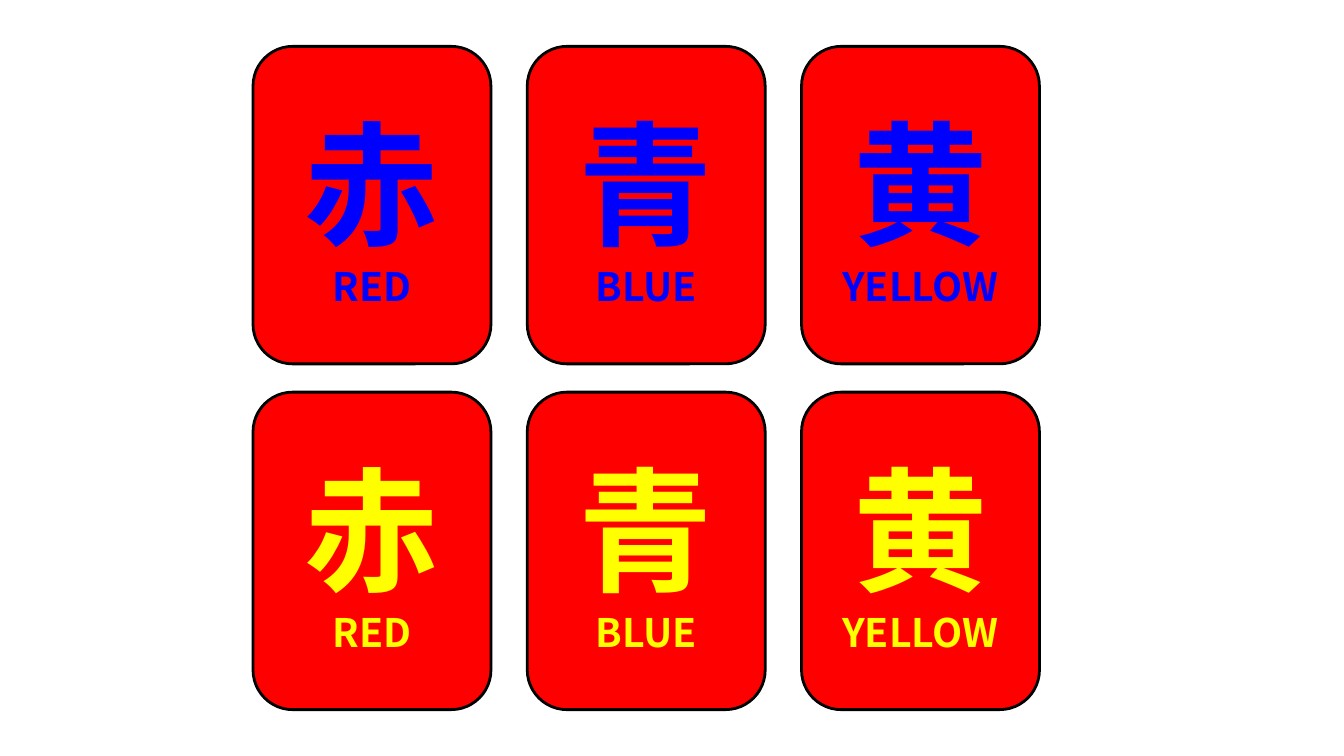
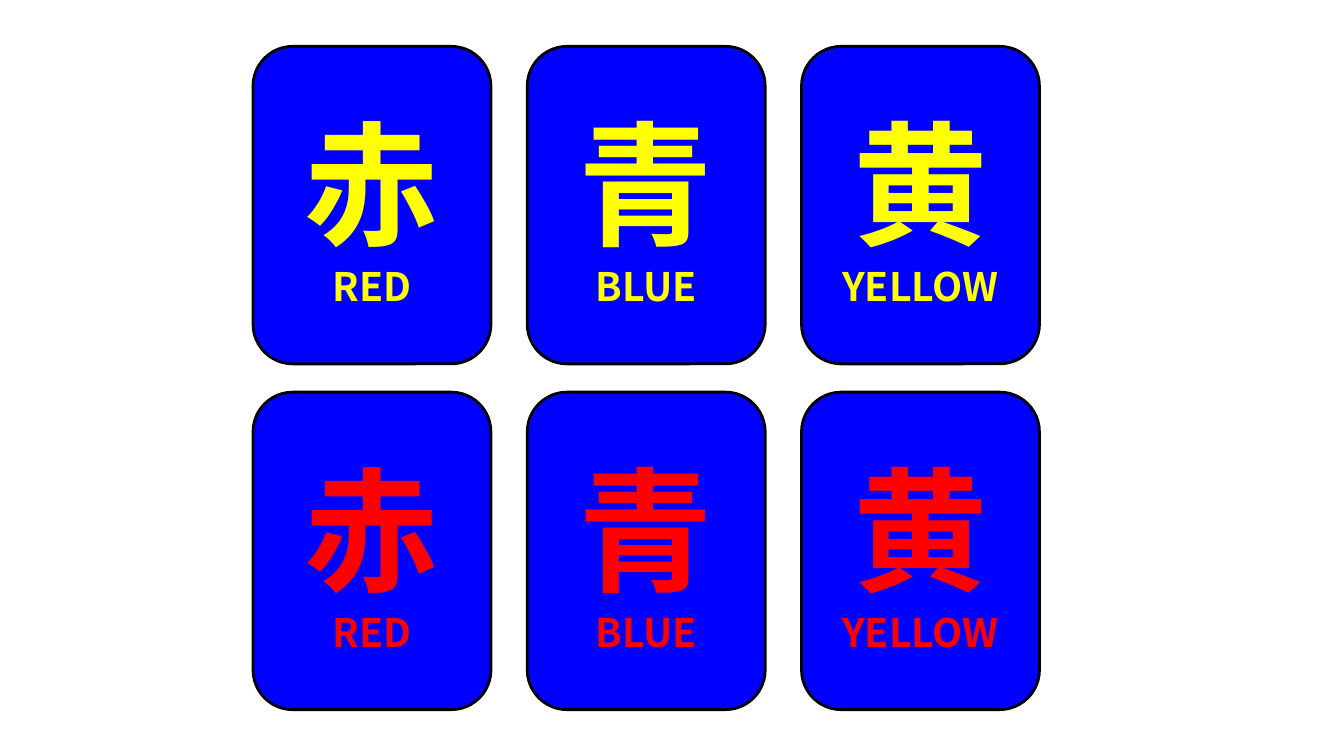
from lxml import etree
from pptx import Presentation
from pptx.dml.color import RGBColor
from pptx.enum import shapes, text
from pptx.oxml.ns import qn
from pptx.util import Inches, Pt

RED = RGBColor(0xFF, 0x00, 0x00)
BLUE = RGBColor(0x00, 0x00, 0xFF)
YELLOW = RGBColor(0xFF, 0xFF, 0x00)
BLACK = RGBColor(0x00, 0x00, 0x00)

WORDS = [("赤", "RED"), ("青", "BLUE"), ("黄", "YELLOW")]


class CardDeck:
    """Holds the card style, the deck and the current slide."""

    font_name = "Noto Sans CJK JP"
    left, top = 2.51, 0.46
    width, height = 2.36, 3.15
    column_step, row_step = 2.72, 3.43

    def __init__(self):
        self.deck = Presentation()
        self.deck.slide_width = Inches(13.33)
        self.deck.slide_height = Inches(7.5)
        self.page = None

    def add_page(self):
        self.page = self.deck.slides.add_slide(self.deck.slide_layouts[6])

    def set_text(self, para, content, size, color):
        para.text = content
        para.alignment = text.PP_ALIGN.CENTER
        font = para.font
        font.name, font.size, font.bold = self.font_name, Pt(size), True
        font.color.rgb = color
        # The kanji take the East Asian typeface
        defaults = para._p.find(qn("a:pPr")).find(qn("a:defRPr"))
        etree.SubElement(defaults, qn("a:ea"), typeface=self.font_name)

    def add_card(self, column, row, fill, ink, kanji, english):
        card = self.page.shapes.add_shape(
            shapes.MSO_SHAPE.ROUNDED_RECTANGLE,
            Inches(self.left + column * self.column_step),
            Inches(self.top + row * self.row_step),
            Inches(self.width), Inches(self.height))
        card.shadow.inherit = False
        card.fill.solid()
        card.fill.fore_color.rgb = fill
        card.line.color.rgb = BLACK
        card.line.width = Pt(2)
        frame = card.text_frame
        frame.word_wrap = True
        frame.vertical_anchor = text.MSO_ANCHOR.MIDDLE
        self.set_text(frame.paragraphs[0], kanji, 96, ink)
        self.set_text(frame.add_paragraph(), english, 28, ink)

    def add_card_grid(self, fill, inks):
        for row, ink in enumerate(inks):
            for column, (kanji, english) in enumerate(WORDS):
                self.add_card(column, row, fill, ink, kanji, english)


def main():
    cards = CardDeck()
    # One page per card colour, one row per text colour
    for fill, inks in [(RED, (BLUE, YELLOW)), (BLUE, (YELLOW, RED))]:
        cards.add_page()
        cards.add_card_grid(fill, inks)
    cards.deck.save("out.pptx")


if __name__ == "__main__":
    main()
